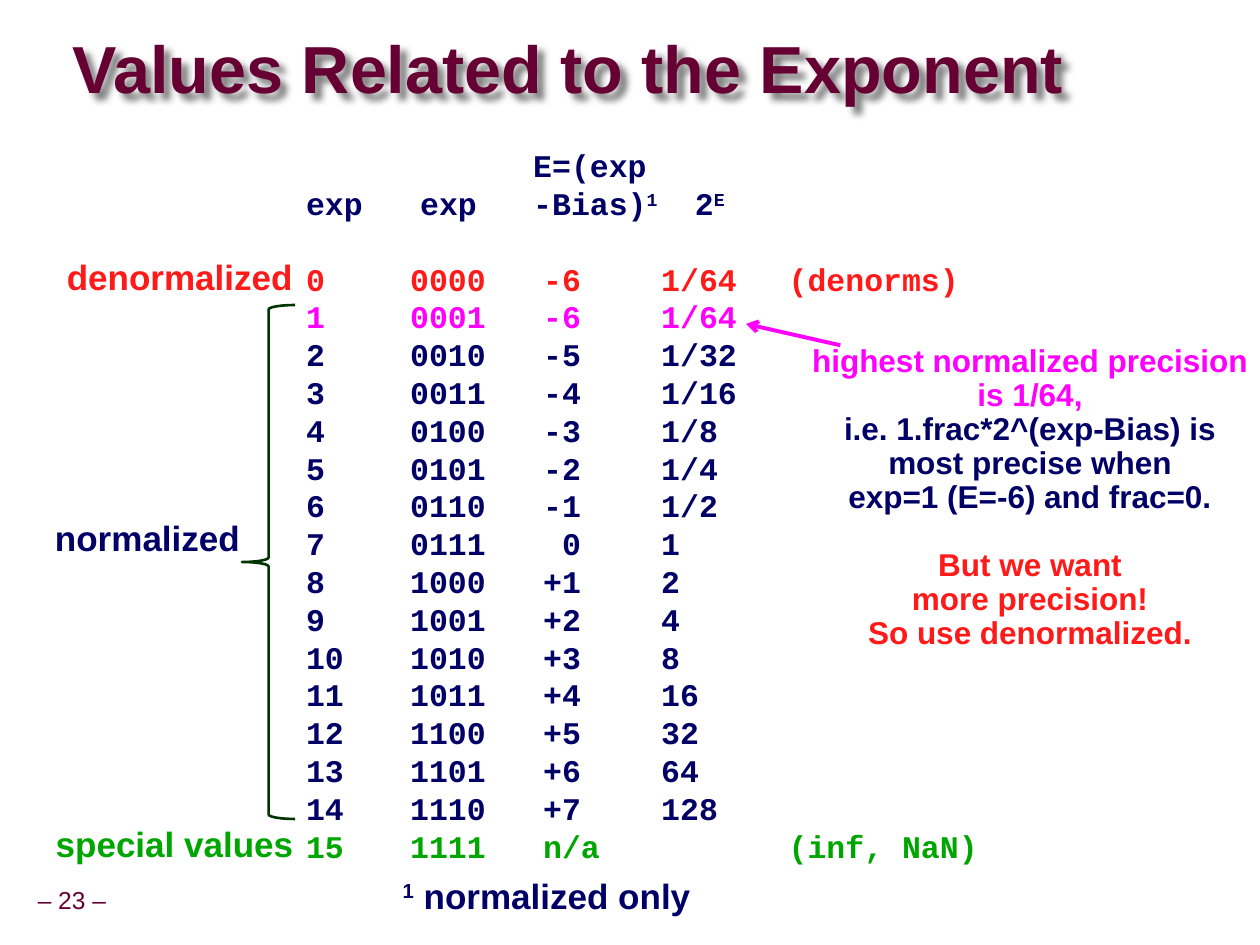
from dataclasses import dataclass

from lxml.etree import SubElement
from pptx import Presentation
from pptx.dml.color import RGBColor
from pptx.enum.shapes import MSO_CONNECTOR as Connector, MSO_SHAPE as Shape
from pptx.enum.text import MSO_ANCHOR as Anchor, PP_ALIGN as Align
from pptx.oxml.ns import qn
from pptx.util import Cm, Pt

COLORS = {
    "title": "660033",
    "body": "000066",
    "denorm": "FF1A1A",
    "highlight": "FF00FF",
    "special": "00A600",
    "brace": "003300",
}
SANS, MONO = "Arial", "Courier New"
LINE_FACTOR = {SANS: 1.08, MONO: 1.2}
BIAS = 7
MAX_EXP = 15
HEADER_TABS = (2.3, 4.58, 7.84)
ROW_TABS = (2.1, 4.78, 7.16, 9.73)


@dataclass
class Para:
    text: str
    color: str = "body"
    tabs: tuple[float, ...] = ()
    blank_before: bool = False


@dataclass
class Label:
    text: str
    color: str
    left: float
    top: float
    width: float


def rgb(name: str) -> RGBColor:
    return RGBColor.from_string(COLORS[name])


def add_runs(p, text: str, color: str, size: float, font: str, bold: bool) -> None:
    for i, part in enumerate(text.split("^^")):
        if not part:
            continue
        r = p.add_run()
        r.text = part
        r.font.size, r.font.name, r.font.bold = Pt(size), font, bold
        r.font.color.rgb = rgb(color)
        if i % 2:
            r.font._element.set("baseline", "30000")


def add_text(s, paras: list[Para], left: float, top: float, width: float,
             height: float, *, size: float = 18, font: str = SANS,
             bold: bool = True, align=Align.CENTER, anchor=Anchor.TOP,
             inset: tuple[float, float] = (0.25, 0.13), wrap: bool = False):
    sp = s.shapes.add_textbox(Cm(left), Cm(top), Cm(width), Cm(height))
    tf = sp.text_frame
    tf.word_wrap = wrap
    tf.vertical_anchor = anchor
    tf.margin_left = tf.margin_right = Cm(inset[0])
    tf.margin_top = tf.margin_bottom = Cm(inset[1])
    spacing = Pt(round(size * LINE_FACTOR[font], 1))
    for i, para in enumerate(paras):
        p = tf.add_paragraph() if i else tf.paragraphs[0]
        p.alignment = align
        p.line_spacing = spacing
        p.space_before = spacing if para.blank_before else Pt(0)
        if para.tabs:
            tabs = SubElement(p._p.get_or_add_pPr(), qn("a:tabLst"))
            for pos in para.tabs:
                SubElement(tabs, qn("a:tab"), pos=str(Cm(pos)), algn="l")
        add_runs(p, para.text, para.color, size, font, bold)
    return sp


def add_shadow(sp) -> None:
    effects = SubElement(sp._element.spPr, qn("a:effectLst"))
    shadow = SubElement(effects, qn("a:outerShdw"), blurRad="50800",
                        dist="53882", dir="2700000", algn="ctr", rotWithShape="0")
    clr = SubElement(shadow, qn("a:srgbClr"), val="000000")
    SubElement(clr, qn("a:alpha"), val="50000")


def add_arrow(s, start: tuple[float, float], end: tuple[float, float], color: str) -> None:
    c = s.shapes.add_connector(Connector.STRAIGHT, *map(Cm, start + end))
    c.line.color.rgb = rgb(color)
    c.line.width = Pt(2.25)
    SubElement(c.line._get_or_add_ln(), qn("a:tailEnd"), type="arrow")
    SubElement(c._element.spPr, qn("a:effectLst"))


def add_brace(s, left: float, top: float, width: float, height: float) -> None:
    sp = s.shapes.add_shape(Shape.LEFT_BRACE, Cm(left), Cm(top), Cm(width), Cm(height))
    sp.shadow.inherit = False
    sp.fill.background()
    sp.line.color.rgb = rgb("brace")
    sp.line.width = Pt(1.5)


def exponent_row(exp: int) -> Para:
    bits = f"{exp:04b}"
    if exp == MAX_EXP:
        return Para(f"{exp}\t{bits}\tn/a\t\t(inf, NaN)", "special", ROW_TABS)
    e = max(exp, 1) - BIAS
    signed = f"{e:+d}" if e else " 0"
    power = f"1/{2 ** -e}" if e < 0 else str(2 ** e)
    note = "" if exp else "\t(denorms)"
    color = {0: "denorm", 1: "highlight"}.get(exp, "body")
    return Para(f"{exp}\t{bits}\t{signed}\t{power}{note}", color, ROW_TABS, exp == 0)


def main() -> None:
    prs = Presentation()
    prs.slide_width, prs.slide_height = Cm(25.4), Cm(19.05)
    s = prs.slides.add_slide(prs.slide_layouts[6])

    add_text(s, [Para("– 23 –", "title")], 0.61, 17.78, 1.68, 0.79, size=14,
             bold=False, anchor=Anchor.MIDDLE, inset=(0.13, 0.13))
    title = add_text(s, [Para("Values Related to the Exponent", "title")],
                     1.47, 0.64, 20.6, 1.6, size=38, align=Align.LEFT,
                     anchor=Anchor.MIDDLE, inset=(0, 0), wrap=True)
    add_shadow(title)

    header = [
        Para("\tE=(exp", tabs=HEADER_TABS[1:]),
        Para("exp\texp\t-Bias)^^1^^\t2^^E", tabs=HEADER_TABS),
    ]
    rows = [exponent_row(exp) for exp in range(MAX_EXP + 1)]
    add_text(s, header + rows, 5.92, 2.82, 14.15, 14.88, font=MONO,
             align=Align.LEFT, wrap=True)

    add_text(s, [
        Para("highest normalized precision", "highlight"),
        Para("is 1/64,", "highlight"),
        Para("i.e. 1.frac*2^(exp-Bias) is"),
        Para("most precise when"),
        Para("exp=1 (E=-6) and frac=0."),
        Para("But we want", "denorm", blank_before=True),
        Para("more precision!", "denorm"),
        Para("So use denormalized.", "denorm"),
    ], 16.08, 6.83, 9.37, 6.5)
    add_arrow(s, (16.94, 6.96), (15.04, 6.53), "highlight")
    add_brace(s, 4.88, 6.15, 1.07, 10.36)

    for label in (
        Label("^^1^^ normalized only", "body", 7.82, 17.58, 6.4),
        Label("normalized", "body", 0.84, 10.36, 4.27),
        Label("denormalized", "denorm", 1.07, 5.11, 5.11),
        Label("special values", "special", 0.84, 16.54, 5.36),
    ):
        add_text(s, [Para(label.text, label.color)], label.left, label.top,
                 label.width, 1.04, size=20)

    prs.save("out.pptx")


if __name__ == "__main__":
    main()
